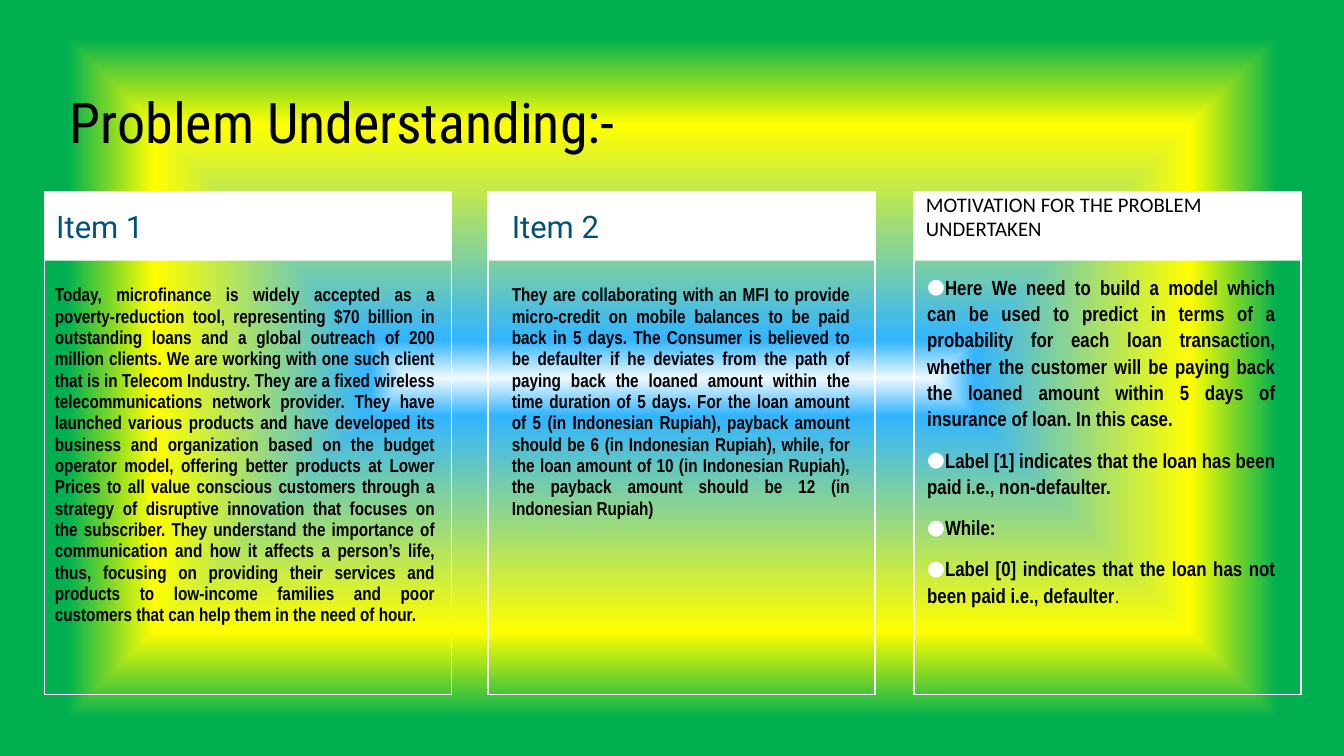
from lxml.etree import SubElement as Sub
from pptx import Presentation
from pptx.dml.color import RGBColor
from pptx.enum.shapes import MSO_SHAPE as Shape
from pptx.enum.text import MSO_ANCHOR as Anchor, MSO_AUTO_SIZE as Fit, PP_ALIGN as Align
from pptx.oxml.ns import qn
from pptx.util import Inches, Pt

WHITE = RGBColor(0xFF, 0xFF, 0xFF)
BLACK = RGBColor(0, 0, 0)
NAVY = RGBColor(0x00, 0x51, 0x7C)
GLOW = [  # percent from the centre outwards, colour
    (0, RGBColor(0xEF, 0xF9, 0xFF)),
    (10, RGBColor(0x32, 0xB4, 0xFF)),
    (34, RGBColor(0x8A, 0xD4, 0x92)),
    (67, RGBColor(0xFF, 0xFF, 0x00)),
    (90, RGBColor(0x00, 0xB0, 0x50)),
]
WIDE = 10
HIGH = WIDE * 9 / 16
TOP, HEAD_H, CARD_H = 1.43, 0.51, 3.74

CLIENT = (
    "Today, microfinance is widely accepted as a poverty-reduction tool, "
    "representing $70 billion in outstanding loans and a global outreach of "
    "200 million clients. We are working with one such client that is in "
    "Telecom Industry. They are a fixed wireless telecommunications network "
    "provider. They have launched various products and have developed its "
    "business and organization based on the budget operator model, offering "
    "better products at Lower Prices to all value conscious customers through "
    "a strategy of disruptive innovation that focuses on the subscriber. They "
    "understand the importance of communication and how it affects a person’s "
    "life, thus, focusing on providing their services and products to "
    "low-income families and poor customers that can help them in the need of hour."
)
LOAN = (
    "They are collaborating with an MFI to provide micro-credit on mobile "
    "balances to be paid back in 5 days. The Consumer is believed to be "
    "defaulter if he deviates from the path of paying back the loaned amount "
    "within the time duration of 5 days. For the loan amount of 5 (in "
    "Indonesian Rupiah), payback amount should be 6 (in Indonesian Rupiah), "
    "while, for the loan amount of 10 (in Indonesian Rupiah), the payback "
    "amount should be 12 (in Indonesian Rupiah)"
)
GOALS = [
    "Here We need to build a model which can be used to predict in terms of a "
    "probability for each loan transaction, whether the customer will be paying "
    "back the loaned amount within 5 days of insurance of loan. In this case.",
    "Label [1] indicates that the loan has been paid i.e., non-defaulter.",
    "While:",
    "Label [0] indicates that the loan has not been paid i.e., defaulter",
]


def style(font, name, size, color, bold=False):
    font.name, font.size, font.bold = name, Pt(size), bold
    font.color.rgb = color


def pad(frame):
    frame.word_wrap = True
    frame.auto_size = Fit.NONE
    frame.margin_left = frame.margin_right = Inches(0.1)
    frame.margin_top = frame.margin_bottom = Inches(0.1)


def paint_back(slide):
    """Fill the background with a rectangular gradient around the centre."""
    slide.background.fill.gradient()
    grad = next(slide.element.iter(qn("a:gradFill")))
    for child in list(grad):
        grad.remove(child)
    stops = Sub(grad, qn("a:gsLst"))
    for pos, color in GLOW:
        stop = Sub(stops, qn("a:gs"), pos=str(pos * 1000))
        Sub(stop, qn("a:srgbClr"), val=str(color))
    shade = Sub(grad, qn("a:path"), path="shape")
    Sub(shade, qn("a:fillToRect"), l="50000", t="50000", r="50000", b="50000")


def add_title(slide, text):
    title = slide.shapes.title
    title.left, title.top = Inches(0.42), Inches(0.5)
    title.width, title.height = Inches(9.15), Inches(0.75)
    frame = title.text_frame
    pad(frame)
    frame.vertical_anchor = Anchor.BOTTOM
    frame.text = text
    para = frame.paragraphs[0]
    para.alignment = Align.LEFT
    style(para.runs[0].font, "Roboto Condensed", 30, BLACK)


def add_rect(slide, left, width, height):
    rect = slide.shapes.add_shape(
        Shape.RECTANGLE, Inches(left), Inches(TOP), Inches(width), Inches(height))
    rect.shadow.inherit = False
    return rect


def add_card(slide, left, width):
    """Draw a white header band and an outlined, see-through body."""
    band = add_rect(slide, left, width, HEAD_H)
    band.fill.solid()
    band.fill.fore_color.rgb = WHITE
    band.line.fill.background()
    edge = add_rect(slide, left, width, CARD_H)
    edge.fill.background()
    edge.line.color.rgb = WHITE
    edge.line.width = Pt(0.75)


def add_text(slide, box, lines, look, space, after=0, align=Align.LEFT, dots=False):
    frame = slide.shapes.add_textbox(*map(Inches, box)).text_frame
    pad(frame)
    frame.text = "\n".join(lines)
    for para in frame.paragraphs:
        para.alignment = align
        para.line_spacing = space
        para.space_after = Pt(after)
        if dots:
            add_dot(para)
        for run in para.runs:
            style(run.font, *look)
    return frame


def add_dot(para):
    props = para._p.get_or_add_pPr()
    props.set("marL", "0")
    props.set("indent", str(-Inches(0.38)))
    Sub(Sub(props, qn("a:buClr")), qn("a:srgbClr"), val=str(WHITE))
    Sub(props, qn("a:buFont"), typeface="Roboto")
    Sub(props, qn("a:buChar"), char="●")


def main():
    deck = Presentation()
    deck.slide_width, deck.slide_height = Inches(WIDE), Inches(HIGH)
    slide = deck.slides.add_slide(deck.slide_layouts[5])
    paint_back(slide)
    add_title(slide, "Problem Understanding:-")
    for left, width in [(0.33, 3.03), (3.63, 2.88), (6.8, 2.88)]:
        add_card(slide, left, width)

    item = ("Roboto", 16.6, NAVY)
    add_text(slide, (0.32, TOP, 3.02, 0.51), ["Item 1"], item, 1.05)
    add_text(slide, (3.71, TOP, 2.73, 0.5), ["Item 2"], item, 1.05)
    add_text(slide, (6.79, 1.34, 2.8, 0.68), ["MOTIVATION FOR THE PROBLEM UNDERTAKEN"],
             ("Calibri", 11.1, BLACK), 0.97)

    prose = ("Arial Narrow", 10, BLACK, True)
    add_text(slide, (0.31, 2.02, 3.02, 3.06), [CLIENT], prose, 0.95, align=Align.JUSTIFY)
    add_text(slide, (3.71, 2.02, 2.71, 3.06), [LOAN], prose, 0.95, align=Align.JUSTIFY)
    goals = add_text(slide, (6.8, 1.93, 2.79, 3.15), GOALS, ("Arial Narrow", 11, BLACK, True),
                     1.07, after=8, align=Align.JUSTIFY, dots=True)
    stop = goals.paragraphs[-1].add_run()
    stop.text = "."
    style(stop.font, "Arial Narrow", 11, BLACK)
    deck.save("out.pptx")


if __name__ == "__main__":
    main()
